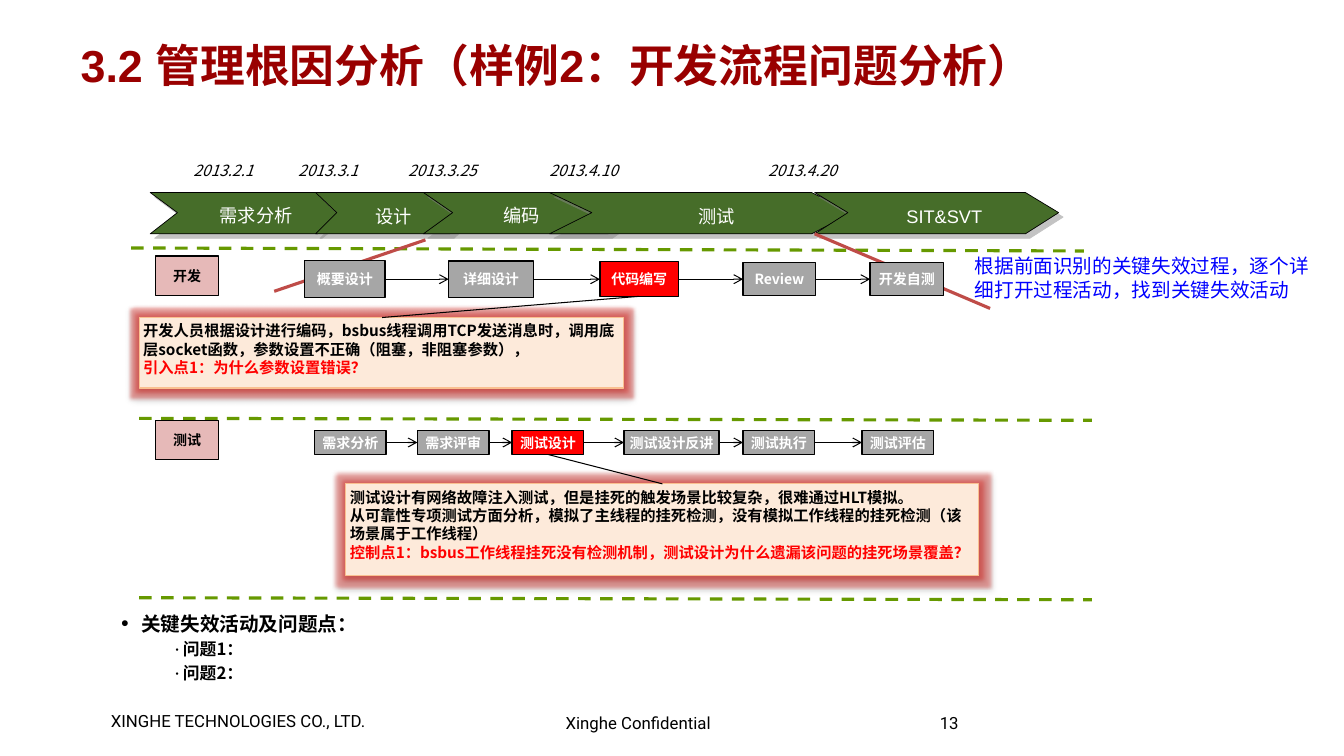
from typing import NamedTuple

from lxml import etree
from pptx import Presentation
from pptx.dml.color import RGBColor
from pptx.enum import dml, shapes, text
from pptx.oxml import ns
from pptx.util import Inches, Pt

SANS, LATIN, FOOT = "Noto Sans CJK SC", "Arial", "Roboto"
BLACK, WHITE, RED, GREY, GREEN = "000000", "FFFFFF", "FF0000", "A6A6A6", "466D29"
CENTER, MIDDLE = text.PP_ALIGN.CENTER, text.MSO_ANCHOR.MIDDLE
TOP, MID, BASE = 1.91, 2.11, 2.32


class Phase(NamedTuple):
    left: float
    neck: float
    tip: float
    notch: float


class Label(NamedTuple):
    text: str
    left: float
    top: float
    width: float


class Step(NamedTuple):
    text: str
    left: float
    width: float
    height: float
    fill: str = GREY


class Line(NamedTuple):
    text: str
    color: str = BLACK


class Note(NamedTuple):
    box: tuple
    link: tuple
    lines: list


class Flow(NamedTuple):
    name: str
    top: float
    mid: float
    steps: list


class Item(NamedTuple):
    text: str
    level: int
    size: float
    mark: str
    font: str
    left: float
    hang: float


PHASES = [Phase(1.49, 3.15, 3.42, 1.76), Phase(3.13, 4.46, 4.68, 3.34),
          Phase(4.2, 6.03, 6.33, 4.49), Phase(5.45, 8.05, 8.46, 5.87),
          Phase(8.08, 10.17, 10.5, 8.41)]
NAMES = [Label("需求分析", 1.86, 1.98, 1.36), Label("设计", 3.22, 1.99, 1.36),
         Label("编码", 4.49, 1.98, 1.36), Label("测试", 5.94, 1.99, 2.33),
         Label("SIT&SVT", 8.32, 1.99, 2.09)]
DATES = [Label("2013.2.1", 1.82, 1.55, 1.37), Label("2013.3.1", 2.86, 1.55, 1.37),
         Label("2013.3.25", 3.95, 1.55, 1.37), Label("2013.4.10", 5.35, 1.55, 1.68),
         Label("2013.4.20", 7.52, 1.55, 1.68)]
FLOWS = [
    Flow("开发", 2.54, 2.77, [
        Step("概要设计", 3.02, 0.8, 0.37), Step("详细设计", 4.45, 0.84, 0.36),
        Step("代码编写", 5.95, 0.78, 0.35, RED), Step("Review", 7.37, 0.72, 0.33),
        Step("开发自测", 8.63, 0.73, 0.33)]),
    Flow("测试", 4.17, 4.39, [
        Step("需求分析", 3.12, 0.71, 0.24), Step("需求评审", 4.14, 0.71, 0.24),
        Step("测试设计", 5.08, 0.71, 0.24, RED), Step("测试设计反讲", 6.19, 0.94, 0.24),
        Step("测试执行", 7.37, 0.71, 0.24), Step("测试评估", 8.55, 0.71, 0.24)]),
]
NOTES = [
    Note((1.38, 3.15, 4.8, 0.7), (6.34, 2.94, 3.79, 3.15), [
        Line("开发人员根据设计进行编码，bsbus线程调用TCP发送消息时，调用底层socket函数，"
             "参数设置不正确（阻塞，非阻塞参数），"),
        Line("引入点1：为什么参数设置错误？", RED)]),
    Note((3.43, 4.8, 6.28, 0.91), (5.44, 4.51, 6.57, 4.8), [
        Line("测试设计有网络故障注入测试，但是挂死的触发场景比较复杂，很难通过HLT模拟。"),
        Line("从可靠性专项测试方面分析，模拟了主线程的挂死检测，没有模拟工作线程的挂死检测"
             "（该场景属于工作线程）"),
        Line("控制点1：bsbus工作线程挂死没有检测机制，测试设计为什么遗漏该问题的挂死场景覆盖？", RED)]),
]
ITEMS = [Item("关键失效活动及问题点：", 1, 14, "●", LATIN, 0.2, -0.2),
         Item("问题1：", 2, 12, "•", SANS, 0.59, -0.09),
         Item("问题2：", 2, 12, "•", SANS, 0.59, -0.09)]
RULES = [(1.3, 2.46, 10.75, 2.49), (1.38, 4.15, 10.83, 4.17), (1.38, 5.93, 10.83, 5.95)]
ZOOMS = [(4.22, 2.38, 2.72, 2.89), (8.08, 2.32, 9.82, 3.06)]


def rgb(code: str) -> RGBColor:
    return RGBColor.from_string(code)


def write(par, words: str, size: float, font=SANS, color=BLACK, bold=False,
          italic=False, align=text.PP_ALIGN.LEFT, space=None) -> None:
    par.alignment = align
    par.line_spacing = space
    run = par.add_run()
    run.text = words
    face = run.font
    face.size, face.name, face.bold, face.italic = Pt(size), font, bold, italic
    face.color.rgb = rgb(color)
    etree.SubElement(run._r.get_or_add_rPr(), ns.qn("a:ea"), typeface=SANS)


def frame(shape, pad=(0.1, 0.05, 0.1, 0.05), anchor=text.MSO_ANCHOR.TOP,
          wrap=True, grow=False):
    body = shape.text_frame
    body.margin_left, body.margin_top, body.margin_right, body.margin_bottom = map(Inches, pad)
    body.vertical_anchor, body.word_wrap = anchor, wrap
    body.auto_size = text.MSO_AUTO_SIZE.SHAPE_TO_FIT_TEXT if grow else text.MSO_AUTO_SIZE.NONE
    return body


def label(slide, box: tuple, words: str, size: float, pad=(0.1, 0.05, 0.1, 0.05),
          wrap=True, grow=True, **style) -> None:
    shape = slide.shapes.add_textbox(*map(Inches, box))
    write(frame(shape, pad, wrap=wrap, grow=grow).paragraphs[0], words, size, **style)


def effect(shape, blur: float, dist: float, angle: int, color: str, alpha: int,
           glow=False) -> None:
    """Give the shape an outer shadow and, if asked, a red glow."""
    shape.shadow.inherit = False
    group = shape._element.spPr.find(ns.qn("a:effectLst"))

    def add(tag: str, code: str, part: int, **sizes) -> None:
        node = etree.SubElement(group, ns.qn(tag), {k: str(v) for k, v in sizes.items()})
        tint = etree.SubElement(node, ns.qn("a:srgbClr"), val=code)
        etree.SubElement(tint, ns.qn("a:alpha"), val=str(part * 1000))

    if glow:
        add("a:glow", "DF2E28", 40, rad=Pt(5))
    add("a:outerShdw", color, alpha, blurRad=Pt(blur), dist=Pt(dist), dir=angle * 60000)


def paint(shape, fill: str, line: str, width: float) -> None:
    shape.shadow.inherit = False
    shape.fill.solid()
    shape.fill.fore_color.rgb = rgb(fill)
    shape.line.color.rgb = rgb(line)
    shape.line.width = Pt(width)


def block(slide, box: tuple, fill: str, line=BLACK, width=1.0):
    shape = slide.shapes.add_shape(shapes.MSO_SHAPE.RECTANGLE, *map(Inches, box))
    paint(shape, fill, line, width)
    return shape


def node(slide, box: tuple, words: str, fill: str, color: str) -> None:
    body = frame(block(slide, box, fill), anchor=MIDDLE, wrap=False)
    write(body.paragraphs[0], words, 10, color=color, bold=True, align=CENTER)


def line(slide, ends: tuple, color=BLACK, width=0.75, dash=False, arrow=False) -> None:
    link = slide.shapes.add_connector(shapes.MSO_CONNECTOR.STRAIGHT, *map(Inches, ends))
    link.line.color.rgb = rgb(color)
    link.line.width = Pt(width)
    if dash:
        link.line.dash_style = dml.MSO_LINE.DASH
    if arrow:
        etree.SubElement(link.line._get_or_add_ln(), ns.qn("a:tailEnd"), type="arrow")
    etree.SubElement(link._element.spPr, ns.qn("a:effectLst"))


def chevron(slide, item: Phase) -> None:
    spots = [(item.left, TOP), (item.neck, TOP), (item.tip, MID), (item.neck, BASE),
             (item.left, BASE), (item.notch, MID)]
    start, *rest = [(Inches(x), Inches(y)) for x, y in spots]
    pen = slide.shapes.build_freeform(*start)
    pen.add_line_segments(rest, close=True)
    shape = pen.convert_to_shape()
    paint(shape, GREEN, BLACK, 0.5)
    effect(shape, 0, 4.5, 45, "888888", 50)


def callout(slide, note: Note) -> None:
    shape = block(slide, note.box, "FDEADA", "FAC090", 0.75)
    effect(shape, 3.1, 1.6, 90, BLACK, 38, glow=True)
    body = frame(shape, (0.04, 0.04, 0.08, 0.04))
    for i, row in enumerate(note.lines):
        par = body.add_paragraph() if i else body.paragraphs[0]
        write(par, row.text, 10.9, color=row.color, bold=True)


def flow(slide, row: Flow) -> None:
    node(slide, (1.54, row.top, 0.63, 0.39), row.name, "E6B9B8", BLACK)
    for step in row.steps:
        box = (step.left, row.mid - step.height / 2, step.width, step.height)
        node(slide, box, step.text, step.fill, WHITE)
    for a, b in zip(row.steps, row.steps[1:]):
        line(slide, (a.left + a.width, row.mid, b.left, row.mid), arrow=True)


def bullets(slide) -> None:
    shape = slide.shapes.add_textbox(*map(Inches, (1.11, 5.98, 9.57, 0.84)))
    body = frame(shape, (0.09, 0.04, 0.09, 0.04))
    for i, item in enumerate(ITEMS):
        par = body.add_paragraph() if i else body.paragraphs[0]
        par.level = item.level
        props = par._p.get_or_add_pPr()
        props.set("marL", str(Inches(item.left)))
        props.set("indent", str(Inches(item.hang)))
        etree.SubElement(props, ns.qn("a:buSzPct"), val="69000")
        etree.SubElement(props, ns.qn("a:buFont"), typeface=item.font)
        etree.SubElement(props, ns.qn("a:buChar"), char=item.mark)
        write(par, item.text, item.size, bold=True, space=1.2)


def main() -> None:
    deck = Presentation()
    deck.slide_width, deck.slide_height = Inches(13.33), Inches(7.5)
    slide = deck.slides.add_slide(deck.slide_layouts[5])
    title = slide.shapes.title
    title.left, title.top, title.width, title.height = map(Inches, (0.8, 0.3, 10.28, 0.68))
    write(frame(title, (0, 0.04, 0.09, 0.04), MIDDLE).paragraphs[0],
          "3.2 管理根因分析（样例2：开发流程问题分析）", 32, font=LATIN, color="990000", bold=True)
    label(slide, (1.1, 7.05, 2.77, 0.2), "XINGHE TECHNOLOGIES CO., LTD.", 12,
          pad=(0, 0, 0.09, 0), wrap=False, font=FOOT)
    label(slide, (5.52, 7.07, 1.67, 0.2), "Xinghe Confidential", 12,
          pad=(0.09, 0, 0.09, 0), wrap=False, font=FOOT)
    label(slide, (9.28, 7.1, 2.63, 0.4), " 13", 12, pad=(0,) * 4, grow=False,
          font=FOOT, space=0.85)
    for item in PHASES:
        chevron(slide, item)
    for name in NAMES:
        label(slide, (name.left, name.top, name.width, 0.33), name.text, 13,
              pad=(0.05,) * 4, font=LATIN, color=WHITE, align=CENTER)
    for date in DATES:
        label(slide, (date.left, date.top, date.width, 0.29), date.text, 11, italic=True)
    for note in NOTES:
        callout(slide, note)
    for ends in RULES:
        line(slide, ends, "669900", 2.25, dash=True)
    for ends in ZOOMS:
        line(slide, ends, "BF4C48", 2.25)
    for row in FLOWS:
        flow(slide, row)
    for note in NOTES:
        line(slide, note.link)
    bullets(slide)
    label(slide, (9.57, 2.47, 3.64, 0.57),
          "根据前面识别的关键失效过程，逐个详细打开过程活动，找到关键失效活动", 14, color="0000FF")
    deck.save("out.pptx")


if __name__ == "__main__":
    main()
